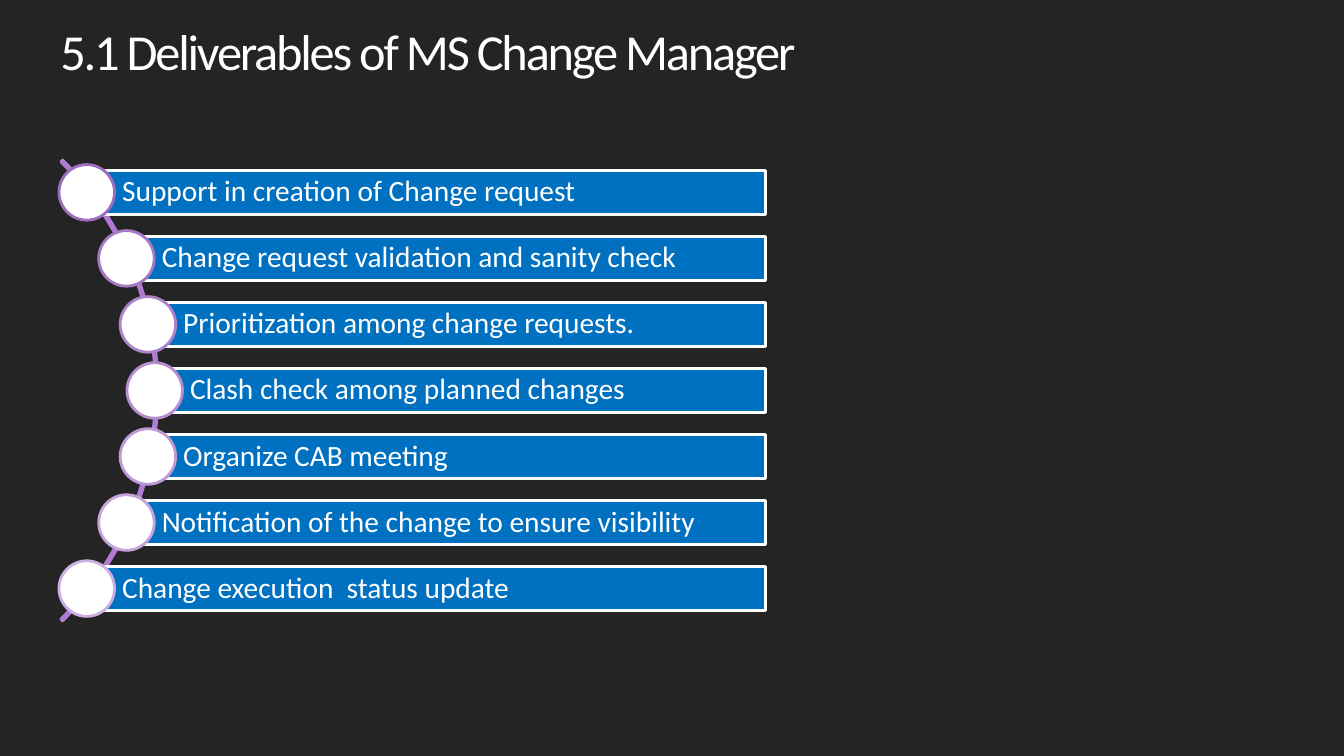
"""Build the slide listing the change manager's deliverables along an arc."""
from math import sqrt

from pptx import Presentation
from pptx.dml.color import RGBColor
from pptx.enum.shapes import MSO_SHAPE
from pptx.enum.text import MSO_ANCHOR, PP_ALIGN
from pptx.util import Cm, Pt

TITLE = "5.1 Deliverables of MS Change Manager"
DELIVERABLES = [
    "Support in creation of Change request",
    "Change request validation and sanity check",
    "Prioritization among change requests.",
    "Clash check among planned changes",
    "Organize CAB meeting",
    "Notification of the change to ensure visibility",
    "Change execution  status update",
]

FONT = "Calibri"
BACKGROUND = RGBColor(0x24, 0x24, 0x24)
WHITE = RGBColor(0xFF, 0xFF, 0xFF)
BLUE = RGBColor(0x00, 0x70, 0xC0)
ARC_PURPLE = RGBColor(0xB0, 0x7A, 0xD3)
FIRST_RING = RGBColor(0x9F, 0x6D, 0xBF)
LAST_RING = RGBColor(0xCC, 0xB0, 0xE1)

ARC_X, ARC_Y = -4.23, 9.84
ARC_DIAMETER = 16.43
BULLET_RADIUS = 8.13
ROW_STEP = 1.664
BAR_RIGHT, BAR_HEIGHT = 19.3, 1.12
BULLET_SIZE = 1.4


def add_outlined(page, kind, left, top, width, height, line, fill=None):
    """Add a flat shape, measured in centimetres, with a 2 pt outline."""
    shape = page.shapes.add_shape(kind, Cm(left), Cm(top), Cm(width), Cm(height))
    shape.shadow.inherit = False
    shape.line.color.rgb = line
    shape.line.width = Pt(2)
    if fill is None:
        shape.fill.background()
    else:
        shape.fill.solid()
        shape.fill.fore_color.rgb = fill
    return shape


def write(box, text, size, line_spacing, insets, anchor):
    """Write one left-aligned white paragraph and return its run."""
    frame = box.text_frame
    frame.text = text
    frame.word_wrap = True
    frame.vertical_anchor = anchor
    left, top, right, bottom = (Cm(inset) for inset in insets)
    frame.margin_left, frame.margin_top = left, top
    frame.margin_right, frame.margin_bottom = right, bottom
    para = frame.paragraphs[0]
    para.alignment = PP_ALIGN.LEFT
    para.line_spacing = line_spacing
    span = para.runs[0]
    span.font.name = FONT
    span.font.size = Pt(size)
    span.font.color.rgb = WHITE
    return span


def add_title(page):
    """Add the tightly spaced heading."""
    box = page.shapes.add_textbox(Cm(1.32), Cm(0.64), Cm(23.22), Cm(1.75))
    span = write(box, TITLE, 36, 0.85, (0.2, 0.1, 0.2, 0.1), MSO_ANCHOR.TOP)
    box.text_frame.paragraphs[0].space_before = Pt(3)
    span.font._element.set("spc", "-160")


def add_arc(page):
    """Add the thin arc that links the bullets."""
    radius = ARC_DIAMETER / 2
    arc = add_outlined(page, MSO_SHAPE.BLOCK_ARC, ARC_X - radius, ARC_Y - radius,
                       ARC_DIAMETER, ARC_DIAMETER, ARC_PURPLE)
    for index, value in enumerate((189, 27, 0.004)):
        arc.adjustments[index] = value


def add_deliverable(page, index, text):
    """Add one bar with its bullet centred on the arc."""
    last = len(DELIVERABLES) - 1
    offset = (index - last / 2) * ROW_STEP
    x = ARC_X + sqrt(BULLET_RADIUS ** 2 - offset ** 2)
    y = ARC_Y + offset
    bar = add_outlined(page, MSO_SHAPE.RECTANGLE, x, y - BAR_HEIGHT / 2,
                       BAR_RIGHT - x, BAR_HEIGHT, WHITE, BLUE)
    write(bar, text, 21, 0.9, (0.89, 0.14, 0.14, 0.14), MSO_ANCHOR.MIDDLE)
    ring = RGBColor(*(start + (end - start) * index // last
                      for start, end in zip(FIRST_RING, LAST_RING)))
    add_outlined(page, MSO_SHAPE.OVAL, x - BULLET_SIZE / 2, y - BULLET_SIZE / 2,
                 BULLET_SIZE, BULLET_SIZE, ring, WHITE)


def main():
    """Assemble and save the deck."""
    deck = Presentation()
    deck.slide_width, deck.slide_height = Cm(33.87), Cm(19.05)
    page = deck.slides.add_slide(deck.slide_layouts[6])
    page.background.fill.solid()
    page.background.fill.fore_color.rgb = BACKGROUND
    add_title(page)
    add_arc(page)
    for index, text in enumerate(DELIVERABLES):
        add_deliverable(page, index, text)
    deck.save("out.pptx")


if __name__ == "__main__":
    main()
